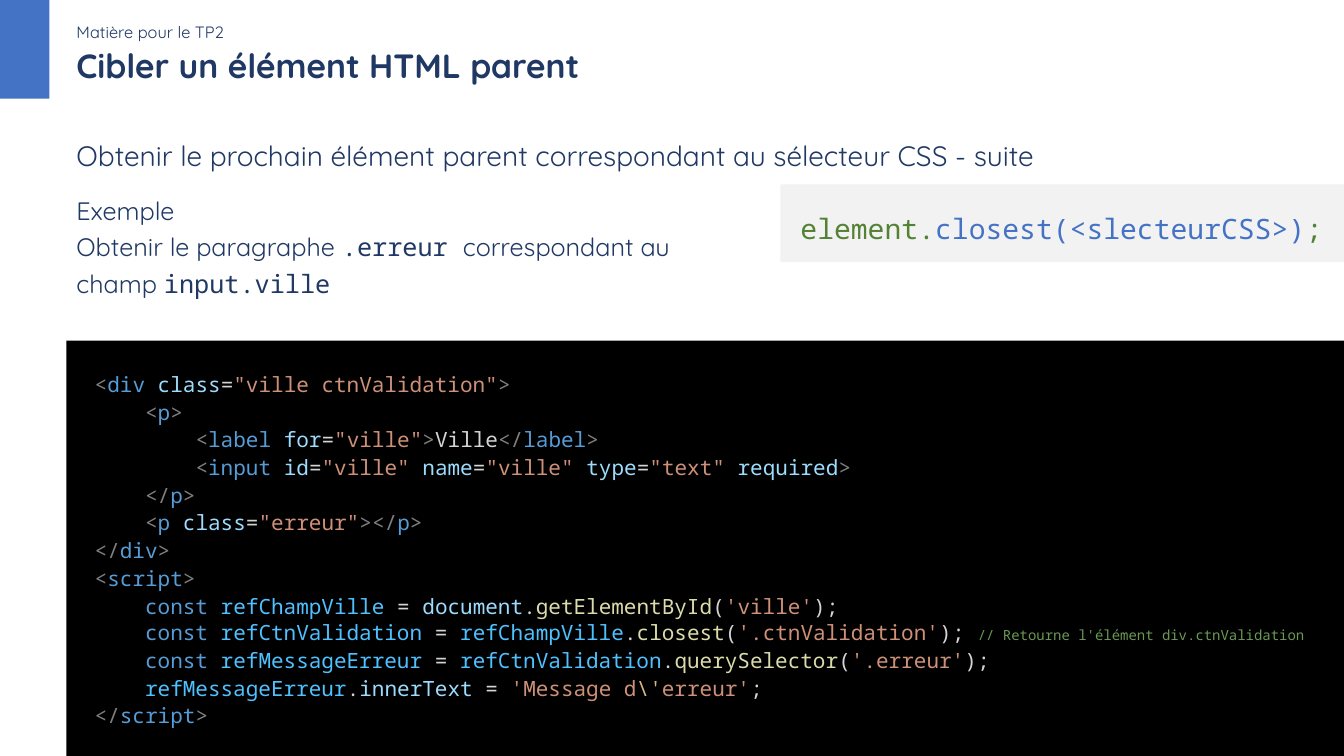
from dataclasses import dataclass

from pptx import Presentation, util as u
from pptx.dml.color import RGBColor
from pptx.enum import shapes, text


@dataclass(frozen=True)
class Theme:
    sans: str = "Quicksand"
    mono: str = "Noto Sans Mono"
    navy: str = "203864"
    blue: str = "4472C4"
    green: str = "548235"
    pale: str = "F2F2F2"
    black: str = "000000"
    title: float = 24
    kicker: float = 11.7
    lead: float = 20
    body: float = 18
    code: float = 15
    comment_gap: float = 16
    comment: float = 10
    # Syntax colours
    bracket: str = "808080"
    keyword: str = "569CD6"
    name: str = "9CDCFE"
    plain: str = "D4D4D4"
    string: str = "CE9178"
    constant: str = "4FC1FF"
    method: str = "DCDCAA"
    escape: str = "D7BA7D"
    remark: str = "6A9955"


THEME = Theme()
SLIDE_WIDTH, SLIDE_HEIGHT = u.Inches(13.33), u.Inches(7.5)
MARGIN = 4.95
INDENT = u.Inches(0.5)


def area(left, top, width, height):
    """Turn percentages of the slide into lengths."""
    return (int(SLIDE_WIDTH * left / 100), int(SLIDE_HEIGHT * top / 100),
            int(SLIDE_WIDTH * width / 100), int(SLIDE_HEIGHT * height / 100))


def prepare_frame(shape, inset=None, grow=False):
    frame = shape.text_frame
    frame.word_wrap = True
    frame.vertical_anchor = text.MSO_ANCHOR.TOP
    if grow:
        frame.auto_size = text.MSO_AUTO_SIZE.SHAPE_TO_FIT_TEXT
    if inset is not None:
        frame.margin_left = frame.margin_right = u.Inches(inset)
        frame.margin_top = frame.margin_bottom = u.Inches(inset)
    return frame


def style_paragraph(paragraph, font, size, spacing, before=0, color=None):
    paragraph.alignment = text.PP_ALIGN.LEFT
    paragraph.line_spacing = spacing
    paragraph.space_before = u.Pt(before)
    paragraph.font.name = font
    paragraph.font.size = u.Pt(size)
    if color:
        paragraph.font.color.rgb = RGBColor.from_string(color)


def add_run(paragraph, content, color=None, font=None, size=None):
    run = paragraph.add_run()
    run.text = content
    if color:
        run.font.color.rgb = RGBColor.from_string(color)
    if font:
        run.font.name = font
    if size:
        run.font.size = u.Pt(size)


def add_box(slide, place, color):
    box = slide.shapes.add_shape(shapes.MSO_SHAPE.RECTANGLE, *area(*place))
    box.shadow.inherit = False
    box.fill.solid()
    box.fill.fore_color.rgb = RGBColor.from_string(color)
    box.line.fill.background()
    return box


def add_text(slide, place, content, size, spacing, before=0, bold=False, grow=False):
    """Add a text box with one navy paragraph and return that paragraph."""
    frame = prepare_frame(slide.shapes.add_textbox(*area(*place)), grow=grow)
    paragraph = frame.paragraphs[0]
    add_run(paragraph, content)
    style_paragraph(paragraph, THEME.sans, size, spacing, before, THEME.navy)
    paragraph.font.bold = bold
    return paragraph


def opening(tag, *attributes, flags=""):
    """Coloured runs of an opening tag; attributes are (name, value) pairs."""
    runs = [("<", THEME.bracket), (tag, THEME.keyword)]
    for name, value in attributes:
        runs += [(f" {name}", THEME.name), ("=", THEME.plain),
                 (f'"{value}"', THEME.string)]
    if flags:
        runs.append((f" {flags}", THEME.name))
    return runs + [(">", THEME.bracket)]


def closing(tag):
    return [("</", THEME.bracket), (tag, THEME.keyword), (">", THEME.bracket)]


def declaration(constant, owner, owner_color, method, argument):
    """Coloured runs of a constant set by a method call."""
    return [("const ", THEME.keyword), (constant, THEME.constant),
            (" = ", THEME.plain), (owner, owner_color), (".", THEME.plain),
            (method, THEME.method), ("(", THEME.plain),
            (f"'{argument}'", THEME.string), (");", THEME.plain)]


def code_lines():
    """Each line is its indent level and its coloured runs."""
    remark = [(" ", THEME.remark, None, THEME.comment_gap),
              ("// Retourne l'élément div.ctnValidation", THEME.remark, None,
               THEME.comment)]
    message = [("refMessageErreur", THEME.constant), (".", THEME.plain),
               ("innerText", THEME.name), (" = ", THEME.plain),
               ("'Message d", THEME.string), ("\\'", THEME.escape),
               ("erreur'", THEME.string), (";", THEME.plain)]
    return [
        (0, opening("div", ("class", "ville ctnValidation"))),
        (1, opening("p")),
        (2, opening("label", ("for", "ville")) + [("Ville", THEME.plain)]
            + closing("label")),
        (2, opening("input", ("id", "ville"), ("name", "ville"),
                    ("type", "text"), flags="required")),
        (1, closing("p")),
        (1, opening("p", ("class", "erreur")) + closing("p")),
        (0, closing("div")),
        (0, opening("script")),
        (1, declaration("refChampVille", "document", THEME.name,
                        "getElementById", "ville")),
        (1, declaration("refCtnValidation", "refChampVille", THEME.constant,
                        "closest", ".ctnValidation") + remark),
        (1, declaration("refMessageErreur", "refCtnValidation", THEME.constant,
                        "querySelector", ".erreur")),
        (1, message),
        (0, closing("script")),
    ]


def add_code(slide, place, lines):
    frame = prepare_frame(add_box(slide, place, THEME.black), inset=0.28)
    for number, (level, runs) in enumerate(lines):
        paragraph = frame.add_paragraph() if number else frame.paragraphs[0]
        has_remark = len(runs[-1]) > 2
        style_paragraph(paragraph, THEME.mono, THEME.code, 1.0 if has_remark else 1.1)
        properties = paragraph._p.get_or_add_pPr()
        properties.set("marL", str(level * INDENT))
        properties.set("indent", "0")
        for run in runs:
            add_run(paragraph, *run)


def add_syntax(slide, place):
    box = add_box(slide, place, THEME.pale)
    paragraph = prepare_frame(box, inset=0.2, grow=True).paragraphs[0]
    style_paragraph(paragraph, THEME.mono, THEME.lead, 1.2, before=18)
    add_run(paragraph, "element.", THEME.green)
    add_run(paragraph, "closest(<slecteurCSS>)", THEME.blue)
    add_run(paragraph, ";", THEME.green)


def add_example(slide, place):
    paragraph = add_text(slide, place, "Exemple", THEME.body, 1.2, before=24, grow=True)
    paragraph.add_line_break()
    add_run(paragraph, "Obtenir le paragraphe ")
    add_run(paragraph, ".erreur ", font=THEME.mono)
    add_run(paragraph, "correspondant au champ ")
    add_run(paragraph, "input.ville", font=THEME.mono)


def main():
    presentation = Presentation()
    presentation.slide_width, presentation.slide_height = SLIDE_WIDTH, SLIDE_HEIGHT
    slide = presentation.slides.add_slide(presentation.slide_layouts[6])

    add_text(slide, (MARGIN, 5.87, 71.27, 7.2), "Cibler un élément HTML parent",
             THEME.title, 0.9, bold=True)
    add_text(slide, (MARGIN, 1.73, 65.04, 4.93), "Matière pour le TP2",
             THEME.kicker, 1.2)
    add_box(slide, (0, 0, 3.68, 13.07), THEME.blue)
    add_text(slide, (MARGIN, 16.8, 77.57, 6.67),
             "Obtenir le prochain élément parent correspondant au sélecteur CSS - suite",
             THEME.lead, 1.2, before=12, grow=True)
    add_syntax(slide, (58.06, 24.4, 41.94, 10.27))
    add_code(slide, (MARGIN, 45.07, 100 - MARGIN, 54.93), code_lines())
    add_example(slide, (MARGIN, 24.4, 49.81, 15.87))
    presentation.save("out.pptx")


if __name__ == "__main__":
    main()
